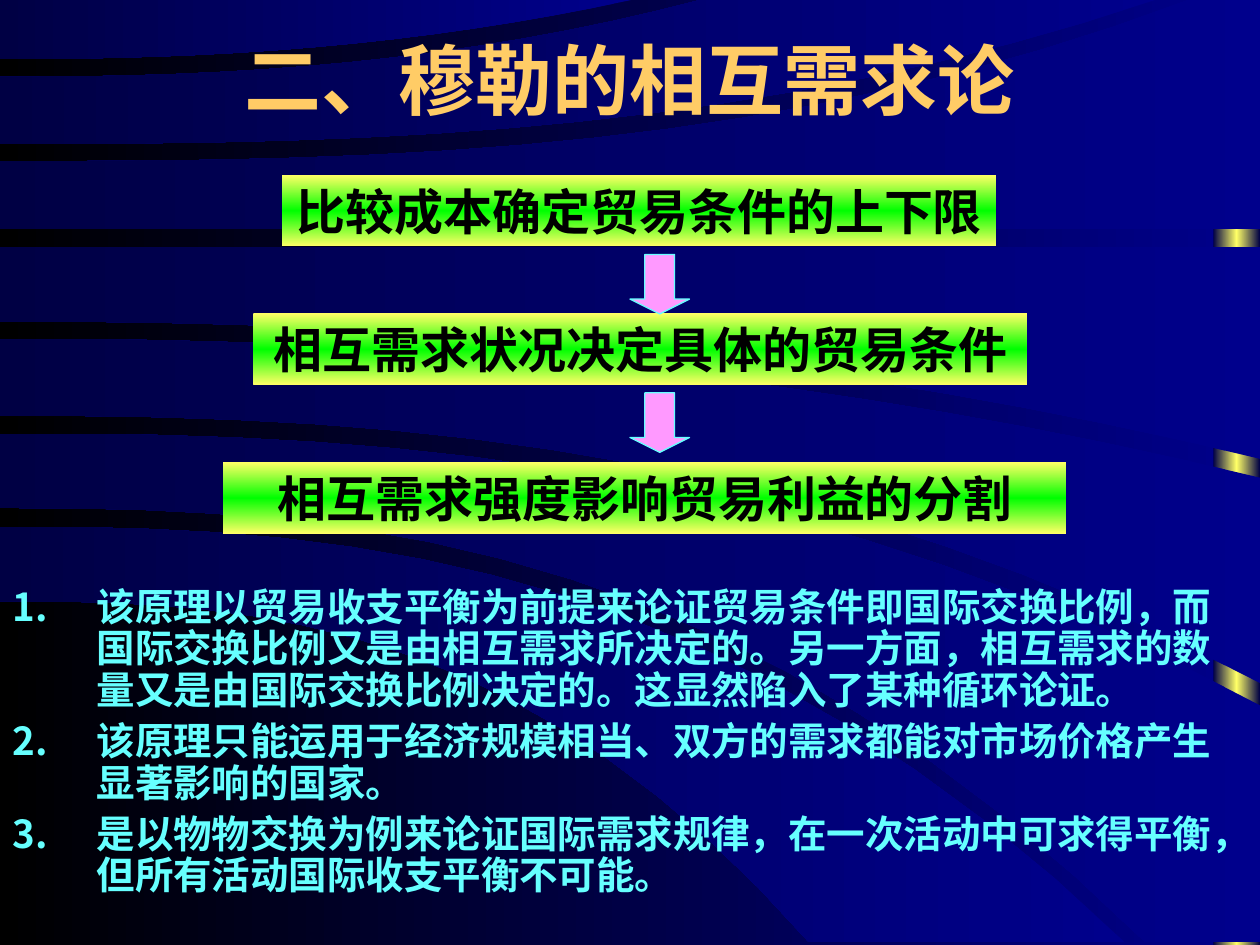
"""Build a slide with a three-step flow and numbered notes over curved bands."""
from copy import deepcopy

from lxml import etree
from pptx import Presentation
from pptx.dml.color import RGBColor
from pptx.enum.shapes import MSO_SHAPE
from pptx.enum.text import MSO_ANCHOR, MSO_AUTO_SIZE, PP_ALIGN
from pptx.oxml.ns import qn
from pptx.util import Cm, Pt

RECT, ARROW = MSO_SHAPE.RECTANGLE, MSO_SHAPE.DOWN_ARROW
MIDDLE, TOP = MSO_ANCHOR.MIDDLE, MSO_ANCHOR.TOP
CENTER, LEFT = PP_ALIGN.CENTER, PP_ALIGN.LEFT
FIXED = MSO_AUTO_SIZE.NONE

TITLE = "二、穆勒的相互需求论"
STEPS = [
    ("比较成本确定贸易条件的上下限", 5.69, 3.53, 14.4),
    ("相互需求状况决定具体的贸易条件", 5.11, 6.32, 15.6),
    ("相互需求强度影响贸易利益的分割", 4.5, 9.32, 17),
]
NOTES = [
    "该原理以贸易收支平衡为前提来论证贸易条件即国际交换比例，而国际交换比例又是由相互需求所决定的。"
    "另一方面，相互需求的数量又是由国际交换比例决定的。这显然陷入了某种循环论证。",
    "该原理只能运用于经济规模相当、双方的需求都能对市场价格产生显著影响的国家。",
    "是以物物交换为例来论证国际需求规律，在一次活动中可求得平衡，但所有活动国际收支平衡不可能。",
]

THEME = {
    "back": ("00008C", "000000"),
    "band": ("00008C", "000044"),
    "edge": ("000044", "FFFF66", "000044"),
    "step": ("FFFF66", "00FF00", "FFFF66"),
    "arrow": "FF99FF",
    "title": {"size": 44, "face": "Times New Roman", "color": "FFCC66"},
    "note": {"size": 22, "face": "Times New Roman", "color": "66FFFF"},
    "label": {"size": 28, "face": "Arial", "color": "000000"},
}

WIDE, HIGH = 25.4, 19.05
CUTS = 16
BANDS = [
    {"upper": (10.62, 22.68, 19, 2.6), "lower": (12.12, 16.31, 19, 2.7)},
    {"upper": (8.74, WIDE, 14.22, 2.5), "lower": (10.24, 23.09, 19, 2.6)},
    {"upper": (6.83, WIDE, 9.63, 2.2), "lower": (8.38, WIDE, 13.77, 2.5)},
    {"upper": (4.98, WIDE, 4.98, 1), "lower": (6.48, WIDE, 9.25, 2.25)},
    {"upper": (3.25, 23.95, 0, 2.8), "lower": (4.62, WIDE, 4.62, 1)},
    {"upper": (1.55, 14.12, 0, 2.4), "lower": (2.9, 23.29, 0, 2.7)},
    {"upper": (0, 12.73, 0, 1), "lower": (1.19, 12.73, 0, 2.3)},
]


def rgb(code):
    """Read a hex colour."""
    return RGBColor.from_string(code)


def blend(fill, root, tones, angle):
    """Fill with evenly spaced colour stops."""
    fill.gradient()
    fill.gradient_angle = angle
    row = root.xpath(".//a:gsLst")[0]
    for _ in tones[2:]:
        row.append(deepcopy(row[-1]))
    for i, (stop, tone) in enumerate(zip(fill.gradient_stops, tones)):
        stop.color.rgb = rgb(tone)
        stop.position = i / (len(tones) - 1)


def plain(shape):
    """Drop the shadow and the outline."""
    shape.shadow.inherit = False
    shape.line.fill.background()
    return shape


def write(para, text, style, align):
    """Add one bold run in the given style."""
    para.alignment = align
    run = para.add_run()
    run.text = text
    run.font.bold = True
    run.font.size = Pt(style["size"])
    run.font.name = style["face"]
    run.font.color.rgb = rgb(style["color"])


def frame(shape, anchor):
    """Set up wrapped text of fixed size."""
    text = shape.text_frame
    text.word_wrap = True
    text.auto_size = FIXED
    text.vertical_anchor = anchor
    return text


def number(para):
    """Turn a paragraph into a numbered item."""
    para.line_spacing = 0.9
    para.space_before = Pt(5.5)
    props = para._p.get_or_add_pPr()
    props.set("marL", str(Cm(1.7)))
    props.set("indent", str(-Cm(1.7)))
    etree.SubElement(props, qn("a:buAutoNum"), type="arabicPeriod")


def curve(start, right, end, power):
    """List points from the left side along a power curve."""
    parts = [i / CUTS for i in range(CUTS + 1)]
    return [(right * t, start + (end - start) * t ** power) for t in parts]


def outline(band):
    """Join both edges of a band at their outer corner."""
    upper, lower = curve(*band["upper"]), curve(*band["lower"])
    ends = (upper[-1], lower[-1])
    corner = (max(ends)[0], min(ends)[1])
    return [(Cm(x), Cm(y)) for x, y in upper + [corner] + lower[::-1]]


def scene(slide):
    """Draw the backdrop with its curved bands."""
    blend(slide.background.fill, slide.element, THEME["back"], 180)
    strip = 0.94
    edge = plain(slide.shapes.add_shape(RECT, Cm(WIDE - strip), 0, Cm(strip), Cm(HIGH)))
    blend(edge.fill, edge.element, THEME["edge"], 180)
    for band in BANDS:
        first, *rest = outline(band)
        pen = slide.shapes.build_freeform(*first)
        pen.add_line_segments(rest, close=True)
        shape = plain(pen.convert_to_shape())
        blend(shape.fill, shape.element, THEME["band"], 180)


def main():
    """Build the slide and save it."""
    deck = Presentation()
    deck.slide_width, deck.slide_height = Cm(WIDE), Cm(HIGH)
    slide = deck.slides.add_slide(deck.slide_layouts[5])
    shapes = slide.shapes
    scene(slide)

    title = shapes.title
    shapes.element.append(title.element)
    title.left, title.top, title.width, title.height = Cm(1.9), Cm(0), Cm(21.6), Cm(3.18)
    write(frame(title, MIDDLE).paragraphs[0], TITLE, THEME["title"], CENTER)

    body = frame(shapes.add_textbox(0, Cm(11.73), Cm(WIDE), Cm(6.8)), TOP)
    for i, note in enumerate(NOTES):
        para = body.add_paragraph() if i else body.paragraphs[0]
        number(para)
        write(para, note, THEME["note"], LEFT)

    tall = 1.44
    for label, left, top, wide in STEPS:
        box = plain(shapes.add_shape(RECT, Cm(left), Cm(top), Cm(wide), Cm(tall)))
        blend(box.fill, box.element, THEME["step"], 90)
        write(frame(box, MIDDLE).paragraphs[0], label, THEME["label"], CENTER)

    for _, _, top, _ in STEPS[:-1]:
        arrow = shapes.add_shape(ARROW, Cm(WIDE / 2), Cm(top + tall + 0.16), Cm(1.2), Cm(1.2))
        arrow.shadow.inherit = False
        arrow.adjustments[0], arrow.adjustments[1] = 0.5, 0.25
        arrow.fill.solid()
        arrow.fill.fore_color.rgb = rgb(THEME["arrow"])
        arrow.line.color.rgb = rgb(THEME["note"]["color"])
        arrow.line.width = Pt(0.75)

    deck.save("out.pptx")


if __name__ == "__main__":
    main()
